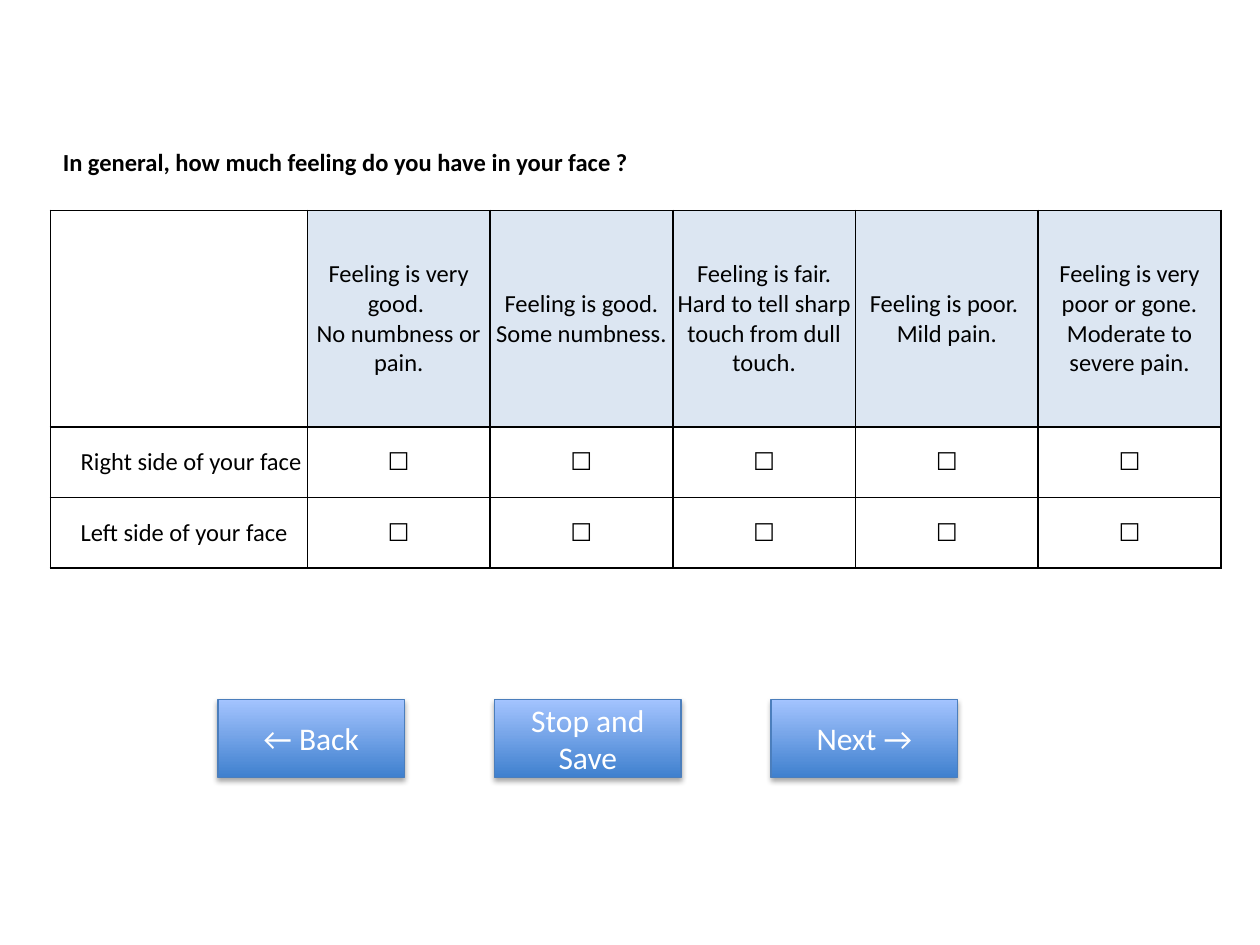
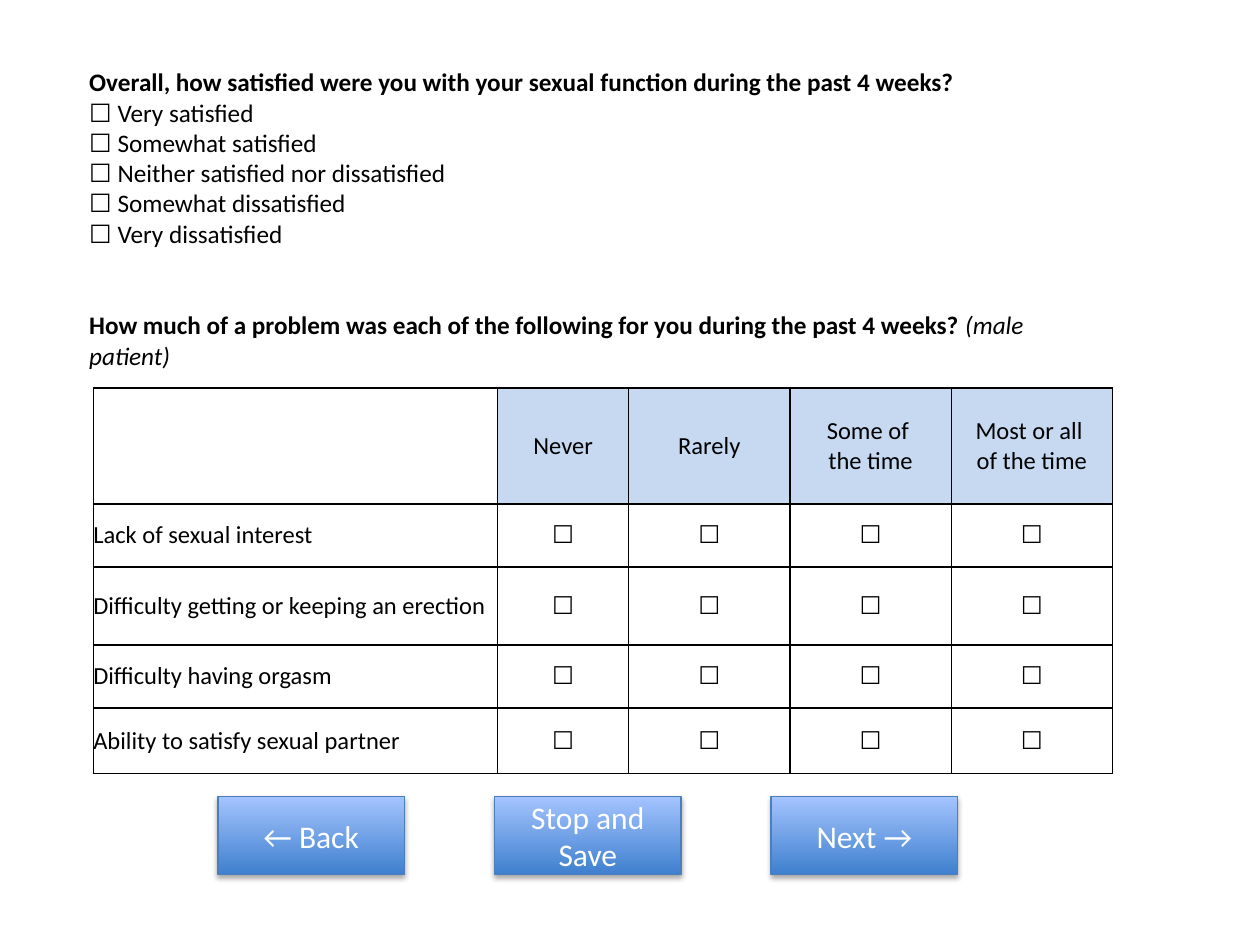
from dataclasses import dataclass

from lxml import etree
from pptx import Presentation
from pptx.dml.color import RGBColor
from pptx.enum import shapes, text
from pptx.oxml import ns
from pptx.util import Inches, Pt


@dataclass(frozen=True)
class Theme:
    font: str = "Calibri"
    ink: str = "000000"
    paper: str = "FFFFFF"
    pale_head: str = "DCE6F2"
    blue_head: str = "C6D9F1"
    button_dark: str = "3F80CE"
    button_light: str = "A4C4FF"
    button_line: str = "4B7EBC"
    table_size: float = 14
    survey_size: float = 14.4
    button_size: float = 18


T = Theme()
BOX = "☐"
LEFT, CENTER = text.PP_ALIGN.LEFT, text.PP_ALIGN.CENTER


def rgb(value):
    return RGBColor.from_string(value)


def sub(parent, tag, **attrs):
    return etree.SubElement(parent, ns.qn(tag), {k: str(v) for k, v in attrs.items()})


def add_run(p, words, size=T.table_size, color=T.ink, bold=False, italic=False):
    r = p.add_run()
    r.text = words
    r.font.name, r.font.size = T.font, Pt(size)
    r.font.bold, r.font.italic = bold, italic
    r.font.color.rgb = rgb(color)


def write(tf, words, align=LEFT, **fmt):
    """Write each line of words as a formatted paragraph."""
    for i, line in enumerate(words.split("\n")):
        p = tf.add_paragraph() if i else tf.paragraphs[0]
        p.alignment = align
        add_run(p, line, **fmt)


def add_question(s, box, question, size, note="", answers=()):
    """Bold question with an optional italic note and tick-box answers."""
    tf = s.shapes.add_textbox(*map(Inches, box)).text_frame
    tf.word_wrap = True
    write(tf, question, size=size, bold=True)
    if note:
        add_run(tf.paragraphs[0], note, size=size, italic=True)
    for answer in answers:
        add_run(tf.add_paragraph(), f"{BOX} {answer}", size=size)


def style_cell(cell, fill=None, indent=0):
    cell.vertical_anchor = text.MSO_ANCHOR.MIDDLE
    cell.margin_right = cell.margin_top = cell.margin_bottom = 0
    cell.margin_left = Inches(indent)
    # Borders come before the fill in the cell properties
    tc_pr = cell._tc.get_or_add_tcPr()
    for side in "LRTB":
        ln = sub(tc_pr, f"a:ln{side}", w=Pt(1))
        sub(sub(ln, "a:solidFill"), "a:srgbClr", val=T.ink)
    if fill:
        cell.fill.solid()
        cell.fill.fore_color.rgb = rgb(fill)
    else:
        cell.fill.background()


def add_answer_grid(s, origin, widths, heights, heads, labels, head_fill, indent=0):
    """Table of row labels against answer heads, with a tick box in each cell."""
    box = (*origin, sum(widths), sum(heights))
    table = s.shapes.add_table(len(heights), len(widths), *map(Inches, box)).table
    table.first_row = table.horz_banding = False
    for col, width in zip(table.columns, widths):
        col.width = Inches(width)
    for row, height in zip(table.rows, heights):
        row.height = Inches(height)

    rows = [["", *heads]] + [[label] + [BOX] * len(heads) for label in labels]
    for i, row in enumerate(rows):
        for j, words in enumerate(row):
            cell = table.cell(i, j)
            style_cell(cell, head_fill if i == 0 and j else None, 0 if j else indent)
            write(cell.text_frame, words, align=CENTER if j else LEFT)


def add_button(s, box, label):
    sp = s.shapes.add_shape(shapes.MSO_SHAPE.RECTANGLE, *map(Inches, box))
    sp.fill.gradient()
    sp.fill.gradient_angle = 90
    for stop, color in zip(sp.fill.gradient_stops, (T.button_dark, T.button_light)):
        stop.color.rgb = rgb(color)
    for stop, position in zip(sp.fill.gradient_stops, (0, 1)):
        stop.position = position
    sp.line.color.rgb = rgb(T.button_line)
    sp.line.width = Pt(0.75)

    # Soft shadow straight below
    sp.shadow.inherit = False
    effects = sp._element.spPr.find(ns.qn("a:effectLst"))
    shadow = sub(effects, "a:outerShdw", blurRad=Pt(3.1), dist=Pt(1.8),
                 dir=5400000, rotWithShape=0)
    sub(sub(shadow, "a:srgbClr", val="000000"), "a:alpha", val=35000)

    tf = sp.text_frame
    tf.word_wrap = True
    tf.vertical_anchor = text.MSO_ANCHOR.MIDDLE
    write(tf, label, align=CENTER, size=T.button_size, color=T.paper)


def add_navigation(s, top):
    """Three evenly spaced buttons."""
    left, width, height, gap = 1.73, 1.48, 0.62, 0.715
    for i, label in enumerate(("← Back", "Stop and Save", "Next →")):
        add_button(s, (left + i * (width + gap), top, width, height), label)


def build_face_slide(s):
    add_question(s, (0.4, 1.12, 9, 0.35),
                 "In general, how much feeling do you have in your face ?", T.table_size)
    add_answer_grid(
        s, (0.4, 1.67), [2.04] + [1.45] * 5, [1.72, 0.56, 0.56],
        ["Feeling is very good. \nNo numbness or pain.",
         "Feeling is good. Some numbness.",
         "Feeling is fair. Hard to tell sharp touch from dull touch.",
         "Feeling is poor. \nMild pain.",
         "Feeling is very poor or gone. Moderate to severe pain."],
        ["Right side of your face", "Left side of your face"],
        T.pale_head, indent=0.24)
    add_navigation(s, 5.55)


def build_satisfaction_slide(s):
    left, width = 0.61, 8.1
    add_question(
        s, (left, 0.48, width, 1.56),
        "Overall, how satisfied were you with your sexual function during the past 4 weeks?",
        T.survey_size,
        answers=["Very satisfied", "Somewhat satisfied",
                 "Neither satisfied nor dissatisfied",
                 "Somewhat dissatisfied", "Very dissatisfied"])
    add_question(
        s, (left, 2.41, width, 0.6),
        "How much of a problem was each of the following for you during the past 4 weeks? ",
        T.survey_size, note="(male patient)")
    add_answer_grid(
        s, (0.74, 3.08), [3.21, 1.04] + [1.28] * 3, [0.92, 0.5, 0.62, 0.5, 0.52],
        ["Never", "Rarely", "Some of \nthe time", "Most or all \nof the time"],
        ["Lack of sexual interest", "Difficulty getting or keeping an erection",
         "Difficulty having orgasm", "Ability to satisfy sexual partner"],
        T.blue_head)
    add_navigation(s, 6.32)


def main():
    prs = Presentation()
    prs.slide_width, prs.slide_height = Inches(10), Inches(7.5)
    for build in (build_face_slide, build_satisfaction_slide):
        build(prs.slides.add_slide(prs.slide_layouts[6]))
    prs.save("out.pptx")


if __name__ == "__main__":
    main()
